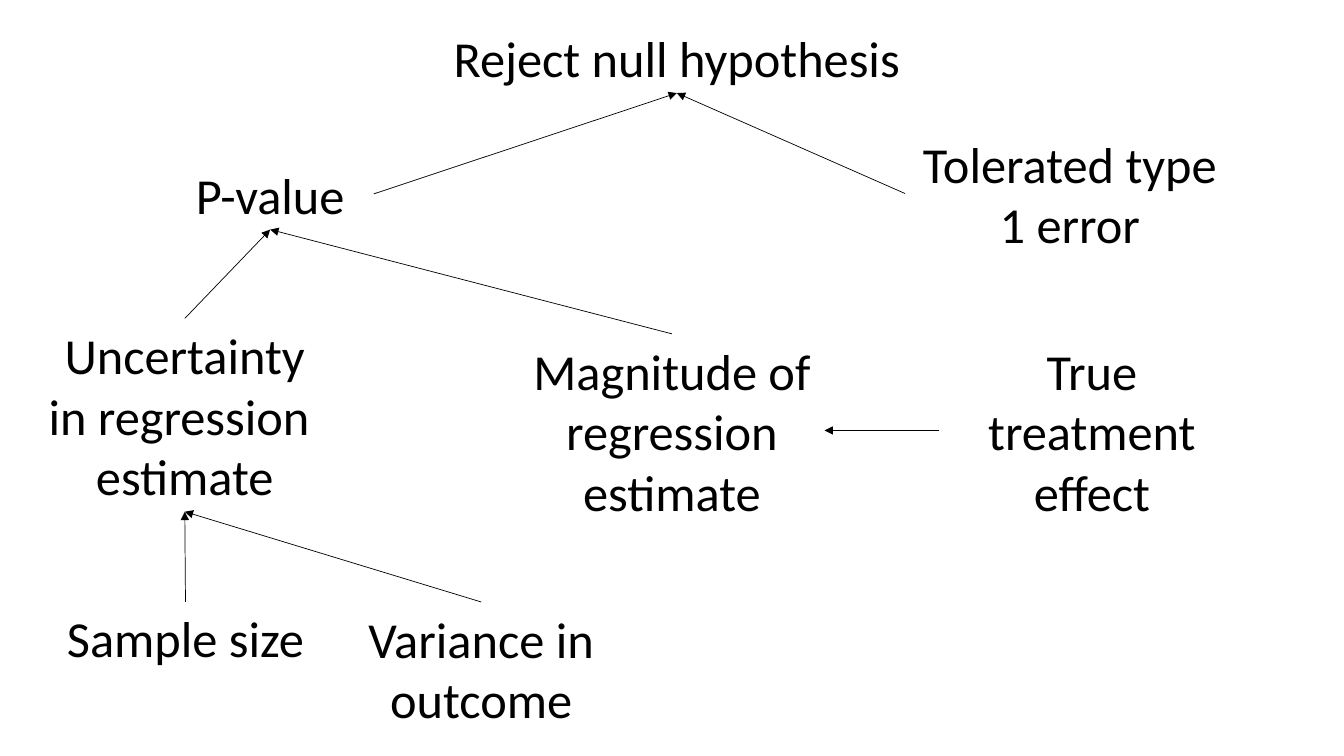
from dataclasses import dataclass

from lxml import etree
from pptx import Presentation
from pptx import util as u
from pptx.dml.color import RGBColor
from pptx.enum import shapes, text
from pptx.oxml import ns
from pptx.shapes.autoshape import Shape
from pptx.shapes.connector import Connector
from pptx.slide import Slide

BLACK = RGBColor(0, 0, 0)
WHITE = RGBColor(255, 255, 255)
FONT = "Calibri"
TOP, LEFT, BOTTOM, RIGHT = range(4)
LINE1, LINE2, LINE3 = 51, 94.5, 138


@dataclass(frozen=True)
class Node:
    key: str
    label: str
    left: float
    top: float
    width: float
    height: float
    wrap: bool = True


@dataclass(frozen=True)
class Arrow:
    tail: str
    out: int
    head: str
    into: int
    gap: float = 0


NODES = [
    Node("reject", "Reject null hypothesis", 315.5, 15.5, 336, LINE1, False),
    Node("value", "P-value", 132, 113, 122, LINE1, False),
    Node("type", "Tolerated type 1 error", 646.5, 91, 235.5, LINE2),
    Node("doubt", "Uncertainty in regression \nestimate", 23, 227.5, 218, LINE3),
    Node("size", "Sample size", 39.5, 430, 186, LINE1, False),
    Node("spread", "Variance in outcome", 254, 430, 179.5, LINE2),
    Node("effect", "Magnitude of regression estimate", 371, 238.5, 218, LINE3),
    Node("truth", "True treatment effect", 671, 238.5, 218, LINE3),
]

ARROWS = [
    Arrow("value", RIGHT, "reject", BOTTOM, 13),
    Arrow("type", LEFT, "reject", BOTTOM),
    Arrow("doubt", TOP, "value", BOTTOM),
    Arrow("effect", TOP, "value", BOTTOM),
    Arrow("truth", LEFT, "effect", RIGHT),
    Arrow("size", TOP, "doubt", BOTTOM),
    Arrow("spread", TOP, "doubt", BOTTOM),
]


def add_node(slide: Slide, node: Node) -> Shape:
    box = slide.shapes.add_textbox(
        u.Pt(node.left), u.Pt(node.top), u.Pt(node.width), u.Pt(node.height)
    )
    frame = box.text_frame
    frame.text = node.label
    frame.word_wrap = node.wrap
    frame.auto_size = text.MSO_AUTO_SIZE.SHAPE_TO_FIT_TEXT
    frame.vertical_anchor = text.MSO_ANCHOR.MIDDLE
    for para in frame.paragraphs:
        para.alignment = text.PP_ALIGN.CENTER
        for run in para.runs:
            run.font.name = FONT
            run.font.size = u.Pt(36)
            run.font.color.rgb = BLACK
    return box


def add_arrow(slide: Slide, arrow: Arrow, boxes: dict[str, Shape]) -> Connector:
    tail = boxes[arrow.tail]
    right = tail.left + tail.width + u.Pt(arrow.gap)
    mid = tail.top + tail.height // 2
    link = slide.shapes.add_connector(
        shapes.MSO_CONNECTOR.STRAIGHT, right, mid, right, mid
    )
    if not arrow.gap:
        link.begin_connect(tail, arrow.out)
    link.end_connect(boxes[arrow.head], arrow.into)
    link.line.color.rgb = BLACK
    link.line.width = u.Pt(0.5)
    props = link.element.spPr
    line = props.find(ns.qn("a:ln"))
    etree.SubElement(line, ns.qn("a:tailEnd"), type="triangle")
    etree.SubElement(props, ns.qn("a:effectLst"))
    return link


def main() -> None:
    deck = Presentation()
    deck.slide_width, deck.slide_height = u.Pt(960), u.Pt(540)
    slide = deck.slides.add_slide(deck.slide_layouts[6])
    slide.background.fill.solid()
    slide.background.fill.fore_color.rgb = WHITE
    boxes = {node.key: add_node(slide, node) for node in NODES}
    for arrow in ARROWS:
        add_arrow(slide, arrow, boxes)
    deck.save("out.pptx")


if __name__ == "__main__":
    main()
